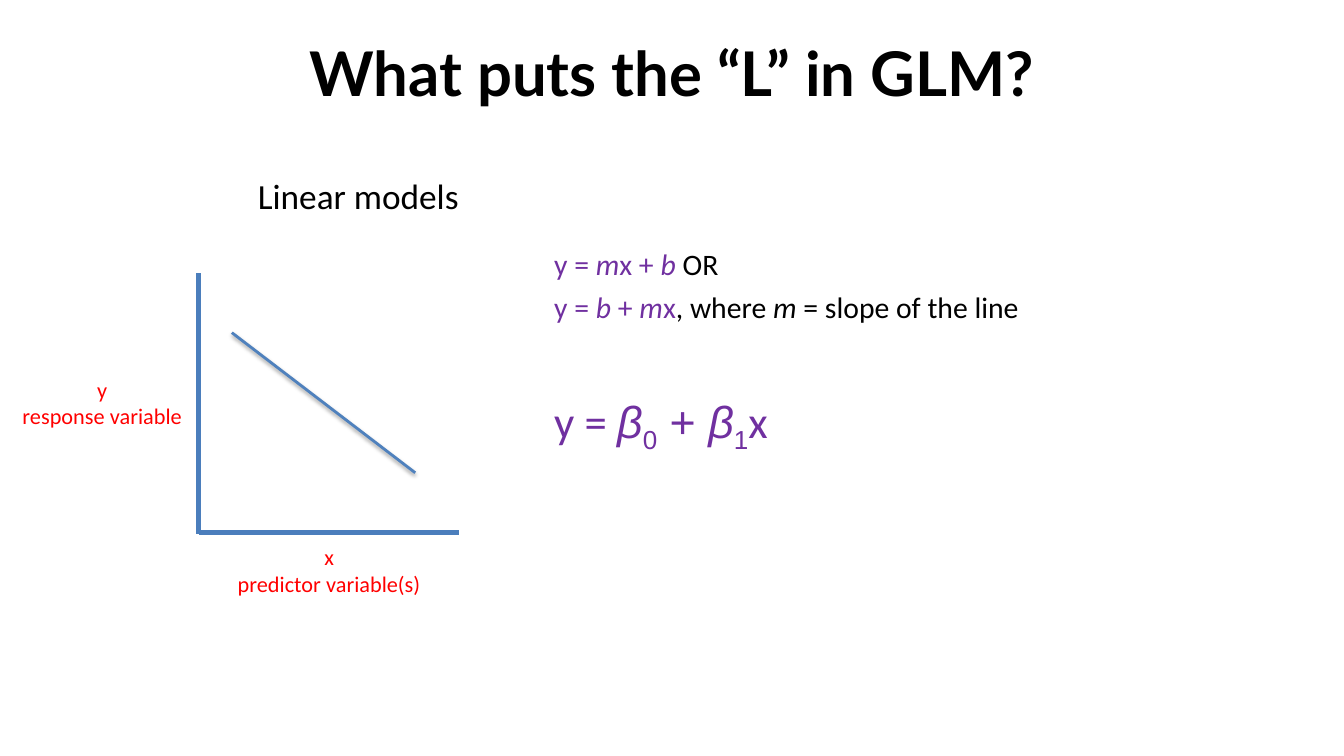
from lxml import etree
from pptx import Presentation
from pptx import util as u
from pptx.dml.color import RGBColor
from pptx.enum import shapes, text
from pptx.oxml import ns

BLACK = RGBColor(0, 0, 0)
PURPLE = RGBColor(0x70, 0x30, 0xA0)
RED = RGBColor(255, 0, 0)
AXIS_BLUE = RGBColor(0x4B, 0x7E, 0xBC)
TREND_BLUE = RGBColor(0x4F, 0x81, 0xBD)

LEFT, CENTER = text.PP_ALIGN.LEFT, text.PP_ALIGN.CENTER
ITALIC = {"italic": True}
BETA = {"name": "Arial", "italic": True}
ARIAL = {"name": "Arial"}


def set_attributes(target, values):
    for name, value in values.items():
        setattr(target, name, value)


def add_run(paragraph, wording, font, baseline=0):
    run = paragraph.add_run()
    run.text = wording
    color = font["color"]
    set_attributes(run.font, {k: v for k, v in font.items() if k != "color"})
    run.font.color.rgb = color
    if baseline:
        run._r.get_or_add_rPr().set("baseline", str(baseline * 1000))


def add_text(slide, box, paragraphs, font, alignment=LEFT, wrap=True):
    shape = slide.shapes.add_textbox(*map(u.Pt, box))
    frame = shape.text_frame
    frame.word_wrap = wrap
    for index, (runs, spacing) in enumerate(paragraphs):
        paragraph = frame.paragraphs[0] if index == 0 else frame.add_paragraph()
        set_attributes(paragraph, {"alignment": alignment, **spacing})
        for wording, changes, *baseline in runs:
            add_run(paragraph, wording, {**font, **changes}, *baseline)


def add_label(slide, box, lines, font, **options):
    add_text(slide, box, [([(line, {})], {}) for line in lines], font, **options)


def add_line(slide, start, end, color, width, shadow=None):
    connector = slide.shapes.add_connector(
        shapes.MSO_CONNECTOR.STRAIGHT, *map(u.Pt, start + end))
    connector.line.color.rgb = color
    connector.line.width = u.Pt(width)
    effects = etree.SubElement(connector._element.spPr, ns.qn("a:effectLst"))
    if shadow:
        outer = etree.SubElement(
            effects, ns.qn("a:outerShdw"), blurRad=str(u.Pt(shadow["blur"])),
            dist=str(u.Pt(shadow["distance"])), dir="5400000", rotWithShape="0")
        color_element = etree.SubElement(outer, ns.qn("a:srgbClr"), val=str(BLACK))
        etree.SubElement(color_element, ns.qn("a:alpha"),
                         val=str(shadow["opacity"] * 1000))


def add_equations(slide):
    plain = {"color": BLACK}
    slope = {**plain, **ITALIC}
    large = {"size": u.Pt(32)}
    beta, arial = {**large, **BETA}, {**large, **ARIAL}
    after = {"space_after": u.Pt(5.3)}
    paragraphs = [
        ([("y = ", {}), ("m", ITALIC), ("x + ", {}), ("b ", ITALIC),
          ("OR ", plain)], after),
        ([("y = ", {}), ("b ", ITALIC), ("+ ", {}), ("m", ITALIC), ("x", {}),
          (", where ", plain), ("m", slope), (" = slope of the line", plain)],
         after),
        ([("y = ", large), ("β", beta), ("0", arial, -25), (" + ", arial),
          ("β", beta), ("1", arial, -25), ("x", large)],
         {**after, "space_before": u.Pt(44.3)}),
    ]
    add_text(slide, (388.8, 172.1, 523.4, 151.2), paragraphs,
             {"name": "Calibri", "size": u.Pt(21.2), "color": PURPLE,
              "italic": False})


def add_graph(slide):
    origin_x, origin_y = 141.8, 380.2
    add_line(slide, (origin_x, 195.1), (origin_x, 381.6), AXIS_BLUE, 3.5)
    add_line(slide, (327.6, origin_y), (origin_x, origin_y), AXIS_BLUE, 3.5)
    label_font = {"name": "Calibri", "size": u.Pt(15.9), "color": RED}
    for box, lines in (
            ((162, 384.5, 146.2, 46.1), ("x", "predictor variable(s)")),
            ((8.6, 265, 128.9, 46.1), ("y", "response variable"))):
        add_label(slide, box, lines, label_font, alignment=CENTER, wrap=False)
    add_line(slide, (165.6, 237.6), (296.6, 337.7), TREND_BLUE, 2,
             {"blur": 3.1, "distance": 1.6, "opacity": 38})


def main():
    presentation = Presentation()
    set_attributes(presentation, {"slide_width": u.Pt(960),
                                  "slide_height": u.Pt(540)})
    slide = presentation.slides.add_slide(presentation.slide_layouts[6])
    add_equations(slide)
    add_label(slide, (177.1, 121, 635.8, 38.2), ["Linear models"],
              {"name": "Calibri", "size": u.Pt(25.2), "color": BLACK})
    add_graph(slide)
    add_label(slide, (48, 21.6, 864, 90), ["What puts the “L” in GLM?"],
              {"name": "Lato", "size": u.Pt(44), "color": BLACK, "bold": True},
              alignment=CENTER)
    presentation.save("out.pptx")


main()
